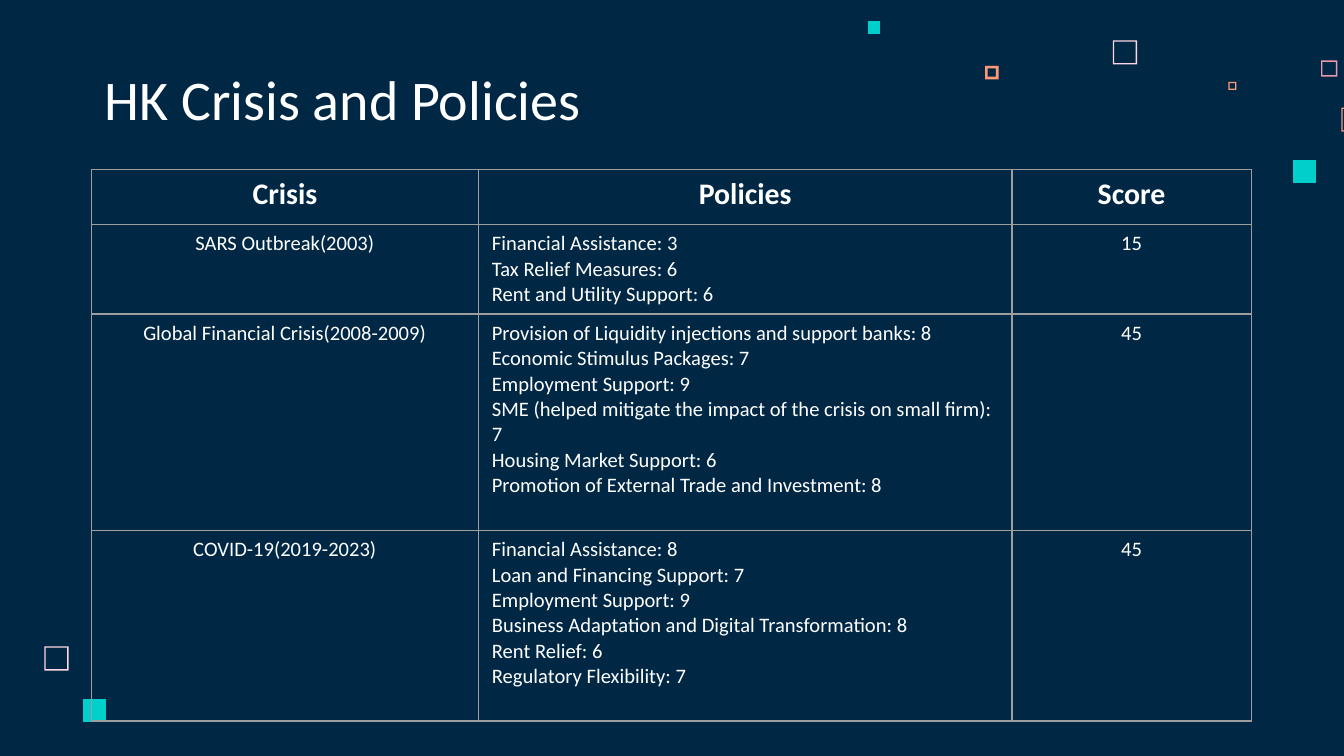
from typing import NamedTuple

from lxml.etree import SubElement
from pptx import Presentation
from pptx.dml.color import RGBColor
from pptx.enum.text import MSO_ANCHOR, MSO_AUTO_SIZE, PP_ALIGN
from pptx.oxml.ns import qn
from pptx.slide import Slide
from pptx.table import _Cell
from pptx.util import Inches, Pt

NAVY = RGBColor(0x00, 0x28, 0x45)
WHITE = RGBColor(0xFF, 0xFF, 0xFF)
GRAY = RGBColor(0x9E, 0x9E, 0x9E)
TEAL = RGBColor(0x00, 0xCF, 0xCC)
PINK = RGBColor(0xFF, 0xD6, 0xE1)
ROSE = RGBColor(0xE8, 0x98, 0xAC)
CORAL = RGBColor(0xFF, 0x99, 0x73)
FONT = "Calibri"


class Square(NamedTuple):
    left: float
    top: float
    size: float
    color: RGBColor
    edge: float = 0


class Crisis(NamedTuple):
    name: str
    policies: list[str]
    score: str
    height: float


SQUARES = [
    Square(8.28, 0.3, 0.18, PINK, 0.01),
    Square(9.83, 0.45, 0.12, ROSE, 0.01),
    Square(9.14, 0.61, 0.06, CORAL, 0.01),
    Square(9.98, 0.8, 0.18, CORAL, 0.01),
    Square(9.62, 1.19, 0.17, TEAL),
    Square(7.33, 0.49, 0.1, CORAL, 0.02),
    Square(6.46, 0.16, 0.09, TEAL),
    Square(0.33, 4.81, 0.18, PINK, 0.01),
    Square(0.62, 5.2, 0.17, TEAL),
]

WIDTHS = [2.88, 3.97, 1.78]
ROWS = [
    Crisis("Crisis", ["Policies"], "Score", 0.41),
    Crisis("SARS Outbreak(2003)", [
        "Financial Assistance: 3",
        "Tax Relief Measures: 6",
        "Rent and Utility Support: 6",
    ], "15", 0.66),
    Crisis("Global Financial Crisis(2008-2009)", [
        "Provision of Liquidity injections and support banks: 8",
        "Economic Stimulus Packages: 7",
        "Employment Support: 9",
        "SME (helped mitigate the impact of the crisis on small firm): 7",
        "Housing Market Support: 6",
        "Promotion of External Trade and Investment: 8",
    ], "45", 1.61),
    Crisis("COVID-19(2019-2023)", [
        "Financial Assistance: 8",
        "Loan and Financing Support: 7",
        "Employment Support: 9",
        "Business Adaptation and Digital Transformation: 8",
        "Rent Relief: 6",
        "Regulatory Flexibility: 7",
    ], "45", 1.42),
]


def style(frame, size: int, bold: bool, align: PP_ALIGN) -> None:
    for para in frame.paragraphs:
        para.alignment = align
        for run in para.runs:
            run.font.name = FONT
            run.font.size = Pt(size)
            run.font.bold = bold
            run.font.color.rgb = WHITE


def draw_square(slide: Slide, square: Square) -> None:
    left, top, size = (Inches(n) for n in square[:3])
    right, base = left + size, top + size
    form = slide.shapes.build_freeform(left, top, 1.0)
    form.add_line_segments([(left, base), (right, base), (right, top)], close=True)
    if square.edge:
        edge = Inches(square.edge)
        form.move_to(left + edge, top + edge)
        form.add_line_segments([
            (right - edge, top + edge),
            (right - edge, base - edge),
            (left + edge, base - edge),
        ], close=True)
    shape = form.convert_to_shape()
    shape.shadow.inherit = False
    shape.fill.solid()
    shape.fill.fore_color.rgb = square.color
    shape.line.fill.background()


def draw_title(slide: Slide, text: str) -> None:
    title = slide.shapes.title
    title.left, title.top = Inches(0.68), Inches(0.45)
    title.width, title.height = Inches(5.17), Inches(0.63)
    frame = title.text_frame
    frame.text = text
    frame.auto_size = MSO_AUTO_SIZE.NONE
    frame.vertical_anchor = MSO_ANCHOR.BOTTOM
    frame.margin_left = frame.margin_right = Inches(0.1)
    frame.margin_top = frame.margin_bottom = Inches(0.1)
    style(frame, 30, False, PP_ALIGN.LEFT)


def fill_cell(cell: _Cell, text: str, head: bool, align: PP_ALIGN) -> None:
    cell.text_frame.text = text
    style(cell.text_frame, 16 if head else 11, head, align)
    props = cell._tc.get_or_add_tcPr()
    for side in ("lnL", "lnR", "lnT", "lnB"):
        line = SubElement(props, qn(f"a:{side}"), w=str(Pt(0.75)))
        paint = SubElement(line, qn("a:solidFill"))
        SubElement(paint, qn("a:srgbClr"), val=str(GRAY))
    cell.fill.background()


def draw_table(slide: Slide, rows: list[Crisis]) -> None:
    width, height = sum(WIDTHS), sum(row.height for row in rows)
    table = slide.shapes.add_table(
        len(rows), len(WIDTHS),
        Inches(0.68), Inches(1.26), Inches(width), Inches(height),
    ).table
    table.first_row = table.horz_banding = False
    for column, size in zip(table.columns, WIDTHS):
        column.width = Inches(size)
    for i, row in enumerate(rows):
        table.rows[i].height = Inches(row.height)
        head = i == 0
        texts = [row.name, "\n".join(row.policies), row.score]
        for j, text in enumerate(texts):
            align = PP_ALIGN.LEFT if j == 1 and not head else PP_ALIGN.CENTER
            fill_cell(table.cell(i, j), text, head, align)


def main() -> None:
    deck = Presentation()
    deck.slide_width, deck.slide_height = Inches(10), Inches(10 * 9 / 16)
    slide = deck.slides.add_slide(deck.slide_layouts[0])
    slide.background.fill.solid()
    slide.background.fill.fore_color.rgb = NAVY
    empty = slide.placeholders[1].element
    empty.getparent().remove(empty)
    for square in SQUARES:
        draw_square(slide, square)
    draw_title(slide, "HK Crisis and Policies")
    draw_table(slide, ROWS)
    deck.save("out.pptx")


if __name__ == "__main__":
    main()
